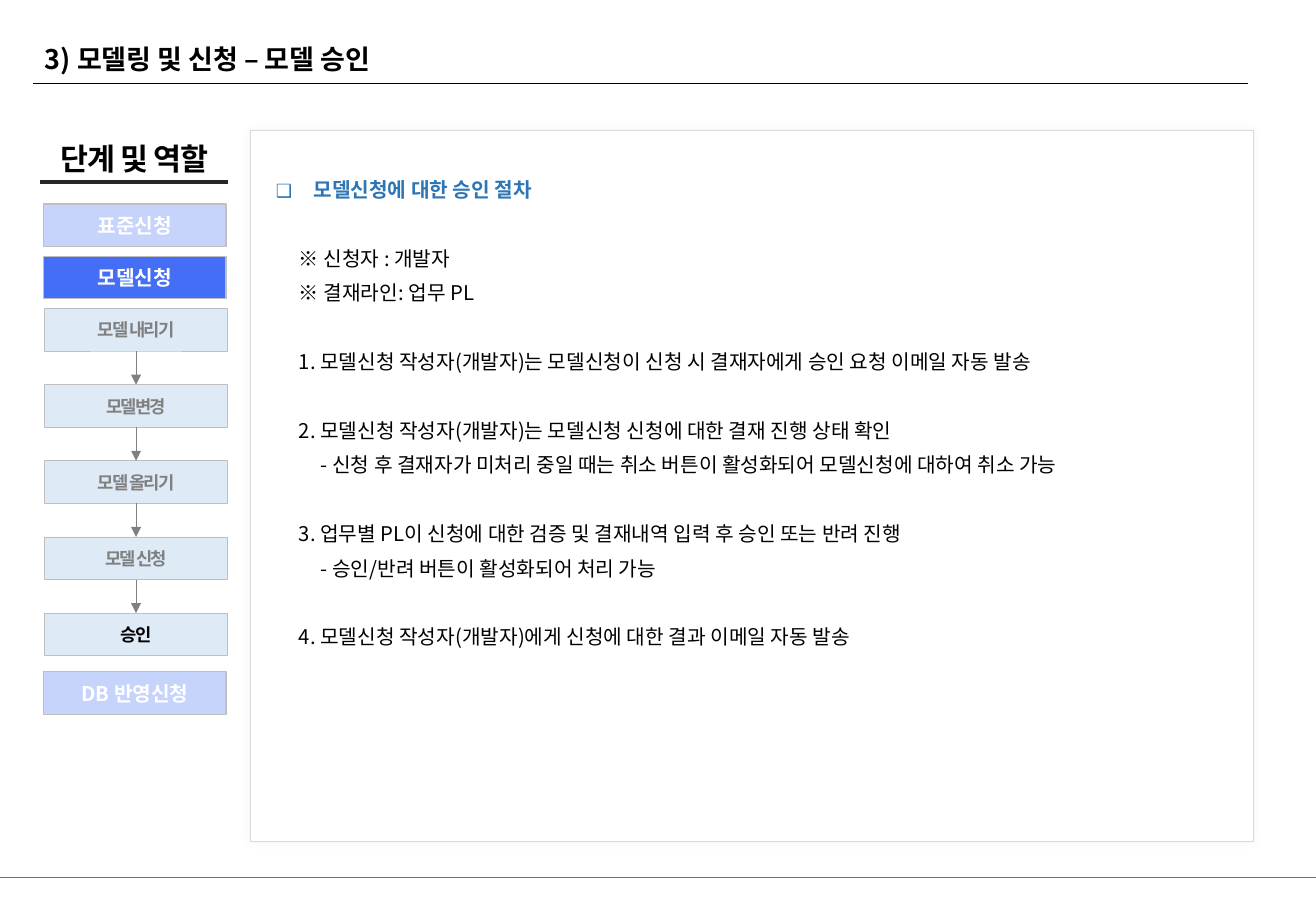
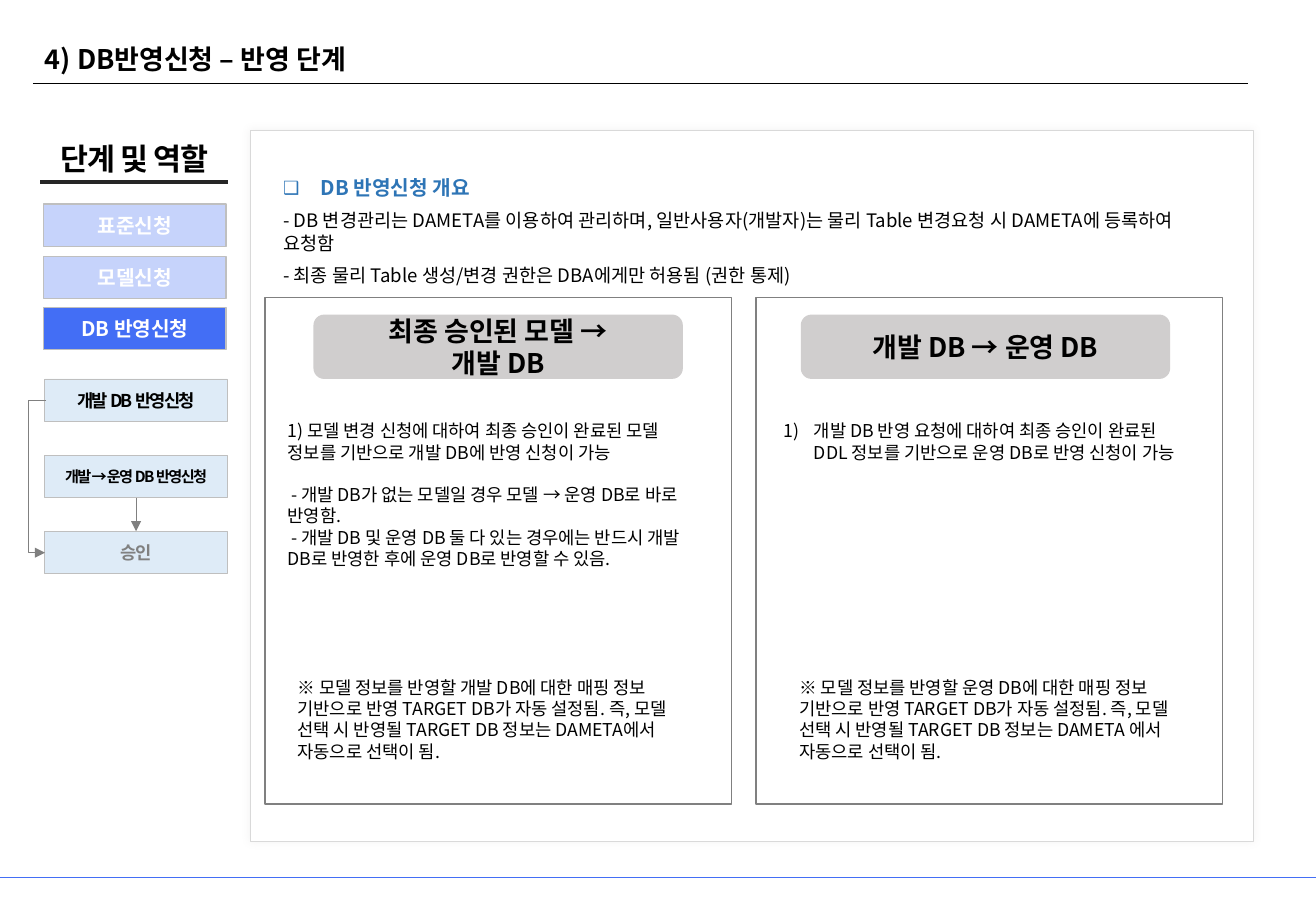
from lxml import etree
from pptx import Presentation
from pptx.dml.color import RGBColor
from pptx.enum.shapes import MSO_CONNECTOR, MSO_SHAPE
from pptx.enum.text import MSO_ANCHOR, MSO_AUTO_SIZE, PP_ALIGN
from pptx.oxml.ns import qn
from pptx.util import Inches, Pt

RECT, ROUND = MSO_SHAPE.RECTANGLE, MSO_SHAPE.ROUNDED_RECTANGLE
STRAIGHT, ELBOW = MSO_CONNECTOR.STRAIGHT, MSO_CONNECTOR.ELBOW
LEFT, CENTER = PP_ALIGN.LEFT, PP_ALIGN.CENTER
TOP, MIDDLE = MSO_ANCHOR.TOP, MSO_ANCHOR.MIDDLE
FIXED = MSO_AUTO_SIZE.NONE

FONT = "Noto Sans CJK KR"
BLACK, WHITE, GRAY = "000000", "FFFFFF", "808080"
BLUE, PALE, HEAD, EDGE = "436EF5", "DEEBF7", "2E75B6", "BFBFBF"
CELL = Inches(0.1)
LEAD = 1.2
PITCH = 6.27
STAGES = ["표준신청", "모델신청", "DB 반영신청"]


def grid(*cells):
    return [round(cell * CELL) for cell in cells]


def color(code):
    return RGBColor.from_string(code)


def node(parent, tag, **attrs):
    child = etree.SubElement(parent, qn(tag))
    for key, value in attrs.items():
        child.set(key, str(value))
    return child


class Deck:
    def __init__(self):
        self.file = Presentation()
        self.file.slide_width = Inches(10.83)
        self.file.slide_height = Inches(7.5)
        self.slide = None

    def page(self, title, tops, active):
        first = self.slide is None
        self.slide = self.file.slides.add_slide(self.file.slide_layouts[1])
        if first:
            self.master()
        self.panel()
        self.side(tops, active)
        self.holder(0, (2.7, 3, 100.5, 4), [dict(text=title, size=16, bold=True)])

    def master(self):
        tree = self.file.slide_master.element.cSld.spTree
        rules = [((0, 72.2, 108.3, 72.2), BLUE, 0.5),
                 ((2.7, 6.9, 102.7, 6.9), BLACK, 0.75)]
        for num, (ends, code, width) in enumerate(rules, 20):
            line = self.line(ends, code, width)
            line.element.nvCxnSpPr.cNvPr.set("id", str(num))
            tree.append(line.element)

    def panel(self):
        card = self.box((20.6, 10.7, 82.6, 58.6), WHITE, "D9D9D9", 0.5)
        glow = node(card.element.spPr.find(qn("a:effectLst")), "a:outerShdw",
                    blurRad=Pt(5), dist=0, algn="ctr", rotWithShape=0)
        tint = node(glow, "a:srgbClr", val="AFABAB")
        node(tint, "a:alpha", val=15000)

    def side(self, tops, active):
        self.text((3.3, 11.1, 15.5, 3.8),
                  [dict(text="단계 및 역할", size=18, bold=True, align=CENTER, track=-50)],
                  MIDDLE, (0, 0.4))
        self.line((3.3, 15, 18.8, 15), "262626", 2.25)
        for num, (name, top) in enumerate(zip(STAGES, tops)):
            tab = self.box((3.6, top, 15, 3.5), BLUE, EDGE, 0.75,
                           None if num == active else 30)
            self.put(tab, [dict(text=name, bold=True, ink=WHITE, align=CENTER)], MIDDLE)

    def steps(self, top, items):
        made = []
        for num, (name, ink, size) in enumerate(items):
            step = self.box((3.7, top + num * PITCH, 15, 3.5), PALE, EDGE, 0.5)
            self.put(step, [dict(text=name, size=size, bold=True, ink=ink,
                                 align=CENTER, track=-100)], MIDDLE, (0.4, 0.5))
            made.append(step)
        return made

    def box(self, area, fill=None, edge=None, width=1, alpha=None, kind=RECT):
        shape = self.slide.shapes.add_shape(kind, *grid(*area))
        shape.shadow.inherit = False
        if fill:
            shape.fill.solid()
            shape.fill.fore_color.rgb = color(fill)
        else:
            shape.fill.background()
        if alpha:
            tint = shape.element.spPr.find(qn("a:solidFill"))[0]
            node(tint, "a:alpha", val=alpha * 1000)
        if edge:
            shape.line.color.rgb = color(edge)
            shape.line.width = Pt(width)
        else:
            shape.line.fill.background()
        return shape

    def line(self, ends, code=GRAY, width=0.5, arrow=False, kind=STRAIGHT):
        line = self.slide.shapes.add_connector(kind, *grid(*ends))
        line.line.color.rgb = color(code)
        line.line.width = Pt(width)
        if arrow:
            node(line.element.spPr.find(qn("a:ln")), "a:tailEnd", type="triangle")
        node(line.element.spPr, "a:effectLst")
        return line

    def link(self, start, end):
        line = self.line((0, 0, 1, 1), arrow=True)
        line.begin_connect(start, 2)
        line.end_connect(end, 0)

    def bend(self, ends, ratio):
        line = self.line(ends, arrow=True, kind=ELBOW)
        shape = line.element.spPr.find(qn("a:prstGeom"))
        marks = shape.find(qn("a:avLst"))
        if marks is None:
            marks = node(shape, "a:avLst")
        node(marks, "a:gd", name="adj1", fmla=f"val {ratio * 100000}")

    def text(self, area, items, anchor=TOP, inset=(1, 0.5)):
        self.put(self.slide.shapes.add_textbox(*grid(*area)), items, anchor, inset)

    def holder(self, num, area, items):
        shape = self.slide.placeholders[num]
        shape.left, shape.top, shape.width, shape.height = grid(*area)
        shape.element.getparent().append(shape.element)
        self.put(shape, items)

    def put(self, shape, items, anchor=TOP, inset=(1, 0.5)):
        frame = shape.text_frame
        frame.word_wrap = True
        frame.auto_size = FIXED
        frame.vertical_anchor = anchor
        frame.margin_left = frame.margin_right = grid(inset[0])[0]
        frame.margin_top = frame.margin_bottom = grid(inset[1])[0]
        for num, item in enumerate(items):
            para = frame.add_paragraph() if num else frame.paragraphs[0]
            self.para(para, **item)

    def para(self, para, text, size=12, ink=BLACK, bold=False, align=LEFT,
             gap=0, after=0, left=0, first=0, mark=None, track=0):
        para.text = text
        props = para._p.get_or_add_pPr()
        props.set("marL", str(grid(left)[0]))
        props.set("indent", str(grid(first)[0]))
        if mark == "1)":
            node(props, "a:buFont", typeface=FONT)
            node(props, "a:buAutoNum", type="arabicParenR")
        elif mark:
            node(props, "a:buSzPct", val=90000)
            node(props, "a:buFont", typeface=FONT)
            node(props, "a:buChar", char=mark)
        else:
            node(props, "a:buNone")
        para.alignment = align
        para.line_spacing = Pt(size * LEAD)
        para.space_before, para.space_after = Pt(gap), Pt(after)
        font = para.font
        font.name, font.size, font.bold = FONT, Pt(size), bold
        font.color.rgb = color(ink)
        base = props.find(qn("a:defRPr"))
        node(base, "a:ea", typeface=FONT)
        if track:
            base.set("spc", str(track))


def heading(text):
    return dict(text=text, ink=HEAD, bold=True, left=3.1, first=-3.1, mark="❑", after=6)


def approval(deck):
    deck.page("3) 모델링 및 신청 – 모델 승인", (16.8, 21.1, 55.3), 1)
    names = ["모델 내리기", "모델변경", "모델 올리기", "모델 신청", "승인"]
    steps = deck.steps(25.4, [(name, BLACK if name == "승인" else GRAY, 10.5)
                              for name in names])
    for start, end in zip(steps, steps[1:]):
        deck.link(start, end)
    rows = [
        (1.9, 20.4, "※ 신청자 : 개발자"),
        (1.9, 0, "※ 결재라인: 업무 PL"),
        (1.9, 20.4, "1. 모델신청 작성자(개발자)는 모델신청이 신청 시 결재자에게 승인 요청 이메일 자동 발송"),
        (1.9, 20.4, "2. 모델신청 작성자(개발자)는 모델신청 신청에 대한 결재 진행 상태 확인"),
        (3.7, 0, "- 신청 후 결재자가 미처리 중일 때는 취소 버튼이 활성화되어 모델신청에 대하여 취소 가능"),
        (1.9, 20.4, "3. 업무별 PL이 신청에 대한 검증 및 결재내역 입력 후 승인 또는 반려 진행"),
        (3.7, 0, "- 승인/반려 버튼이 활성화되어 처리 가능"),
        (1.9, 20.4, "4. 모델신청 작성자(개발자)에게 신청에 대한 결과 이메일 자동 발송"),
    ]
    deck.holder(1, (21.7, 14.1, 80.2, 50.6),
                [heading("모델신청에 대한 승인 절차")]
                + [dict(text=text, left=left, gap=gap, after=6) for left, gap, text in rows])


def release(deck):
    deck.page("4) DB반영신청 – 반영 단계", (16.8, 21.1, 25.3), 2)
    steps = deck.steps(31.2, [("개발 DB 반영신청", BLACK, 10.5),
                              ("개발 → 운영 DB 반영신청", BLACK, 9),
                              ("승인", GRAY, 10.5)])
    deck.link(steps[1], steps[2])
    deck.bend((3.8, 33, 3.7, 45.5), 15)
    deck.holder(1, (22.3, 13.9, 79.5, 10.3), [
        heading("DB 반영신청 개요"),
        dict(text="- DB 변경관리는 DAMETA를 이용하여 관리하며, 일반사용자(개발자)는 물리 Table 변경요청 시 DAMETA에 등록하여 요청함",
             size=11, after=6),
        dict(text="- 최종 물리 Table 생성/변경 권한은 DBA에게만 허용됨 (권한 통제)", size=11),
    ])
    dev = [
        dict(text="1) 모델 변경 신청에 대하여 최종 승인이 완료된 모델 정보를 기반으로 개발 DB에 반영 신청이 가능", size=10.5),
        dict(text="- 개발 DB가 없는 모델일 경우 모델 → 운영 DB로 바로 반영함.",
             size=10.5, gap=12.6, first=0.3),
        dict(text="- 개발 DB 및 운영 DB 둘 다 있는 경우에는 반드시 개발 DB로 반영한 후에 운영 DB로 반영할 수 있음.",
             size=10.5, first=0.3),
    ]
    live = [dict(text="개발 DB 반영 요청에 대하여 최종 승인이 완료된 DDL 정보를 기반으로 운영 DB로 반영 신청이 가능",
                 size=10.5, left=2.5, first=-2.5, mark="1)")]
    cards = [
        (21.8, 25.8, 22.7, 23.5, ["최종 승인된 모델 →", "개발 DB"], dev, "개발", "DAMETA에서"),
        (62.2, 65.9, 63.5, 64.8, ["개발 DB → 운영 DB"], live, "운영", "DAMETA 에서"),
    ]
    for edge, cap, text, note, title, items, name, tool in cards:
        deck.box((edge, 24.5, 38.4, 41.7), edge=GRAY)
        head = deck.box((cap, 25.9, 30.4, 5.3), "D0CECE", kind=ROUND)
        deck.put(head, [dict(text=part, size=16, bold=True, align=CENTER)
                        for part in title], MIDDLE)
        deck.text((text, 34.1, 35.8, 13.4), items)
        deck.text((note, 55.2, 34.1, 8.1), [dict(
            text=f"※ 모델 정보를 반영할 {name} DB에 대한 매핑 정보 기반으로 반영 TARGET DB가 자동 설정됨. "
                 f"즉, 모델 선택 시 반영될 TARGET DB 정보는 {tool} 자동으로 선택이 됨.",
            size=10.5)])


def main():
    deck = Deck()
    approval(deck)
    release(deck)
    deck.file.save("out.pptx")


if __name__ == "__main__":
    main()
